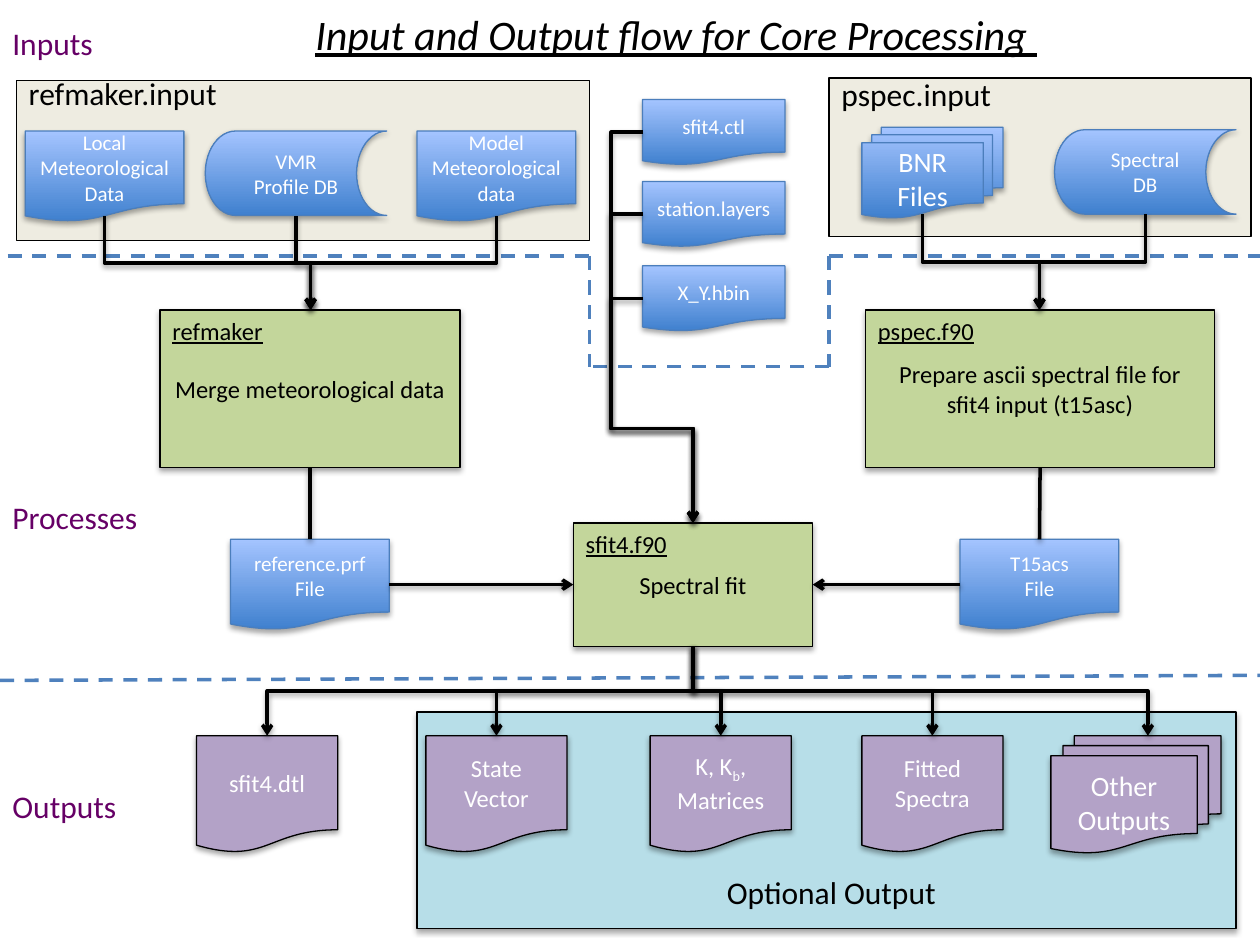
from dataclasses import dataclass
from typing import Optional

from lxml.etree import SubElement
from pptx import Presentation
from pptx.dml.color import RGBColor
from pptx.enum.dml import MSO_LINE
from pptx.enum.shapes import MSO_CONNECTOR, MSO_SHAPE
from pptx.enum.text import MSO_ANCHOR, MSO_AUTO_SIZE, PP_ALIGN
from pptx.oxml.ns import qn
from pptx.util import Inches, Pt

FONT = "Calibri"
BLACK = RGBColor(0x00, 0x00, 0x00)
WHITE = RGBColor(0xFF, 0xFF, 0xFF)
PURPLE = RGBColor(0x66, 0x00, 0x66)
BEIGE = RGBColor(0xEE, 0xEC, 0xE1)
AQUA = RGBColor(0xB7, 0xDE, 0xE8)
GREEN = RGBColor(0xC3, 0xD6, 0x9B)
LILAC = RGBColor(0xB3, 0xA2, 0xC7)
BLUE_DARK = RGBColor(0x3F, 0x80, 0xCE)
BLUE_LIGHT = RGBColor(0xA4, 0xC4, 0xFF)
BLUE_EDGE = RGBColor(0x4B, 0x7E, 0xBC)
DASH_BLUE = RGBColor(0x4F, 0x81, 0xBD)

DOC = MSO_SHAPE.FLOWCHART_DOCUMENT
MULTI = MSO_SHAPE.FLOWCHART_MULTIDOCUMENT
STORE = MSO_SHAPE.FLOWCHART_STORED_DATA
PROCESS = MSO_SHAPE.FLOWCHART_PROCESS
RECT = MSO_SHAPE.RECTANGLE

# The slide is a grid of 100 columns by 75 rows
CELL = Inches(10) / 100


@dataclass
class Node:
    col: float
    row: float
    cols: float
    rows: float
    text: str = ""
    kind: int = DOC
    fill: Optional[RGBColor] = None  # None means the blue gradient
    size: int = 12
    color: RGBColor = WHITE


@dataclass
class Label:
    col: float
    row: float
    cols: float
    text: str
    rows: float = 4
    size: int = 18
    color: RGBColor = BLACK
    underline: bool = False


def grid(*cells: float) -> list:
    return [round(c * CELL) for c in cells]


def set_font(p, size: int, color: RGBColor) -> None:
    p.font.name, p.font.size, p.font.color.rgb = FONT, Pt(size), color


def add_node(s, n: Node):
    sp = s.shapes.add_shape(n.kind, *grid(n.col, n.row, n.cols, n.rows))
    if n.fill is None:
        sp.fill.gradient()
        sp.fill.gradient_angle = 90
        for stop, color in zip(sp.fill.gradient_stops, (BLUE_DARK, BLUE_LIGHT)):
            stop.color.rgb = color
    else:
        sp.fill.solid()
        sp.fill.fore_color.rgb = n.fill
    sp.line.color.rgb = BLUE_EDGE if n.fill is None else BLACK
    sp.line.width = Pt(0.75)
    if n.text:
        tf = sp.text_frame
        tf.text, tf.word_wrap, tf.vertical_anchor = n.text, True, MSO_ANCHOR.MIDDLE
        for p in tf.paragraphs:
            p.alignment = PP_ALIGN.CENTER
            set_font(p, n.size, n.color)
    return sp


def add_panel(s, n: Node) -> None:
    sp = add_node(s, n)
    sp.line.width = 0
    sp.shadow.inherit = False


def add_label(s, b: Label) -> None:
    tf = s.shapes.add_textbox(*grid(b.col, b.row, b.cols, b.rows)).text_frame
    tf.text, tf.word_wrap = b.text, True
    p = tf.paragraphs[0]
    set_font(p, b.size, b.color)
    p.font.underline = b.underline


def add_process(s, n: Node, name: str, name_cols: float):
    sp = add_node(s, n)
    add_label(s, Label(n.col, n.row, name_cols, name, 2.5, 14, underline=True))
    return sp


def style_flow(c, arrow: bool = True) -> None:
    c.line.color.rgb, c.line.width = BLACK, Pt(2)
    if arrow:
        SubElement(c.line._get_or_add_ln(), qn("a:tailEnd"), type="arrow")


def add_dash(s, *ends: float) -> None:
    c = s.shapes.add_connector(MSO_CONNECTOR.STRAIGHT, *grid(*ends))
    c.line.color.rgb, c.line.width = DASH_BLUE, Pt(2)
    c.line.dash_style = MSO_LINE.DASH
    SubElement(c._element.spPr, qn("a:effectLst"))


def add_drop(s, x1: float, y1: float, x2: float, y2: float) -> None:
    """Elbow going down, across at half height, and down: a turned connector."""
    cx, cy = (x1 + x2) / 2, (y1 + y2) / 2
    half_w, half_h = (y2 - y1) / 2, abs(x2 - x1) / 2
    right = x2 > x1
    side = half_w if right else -half_w
    c = s.shapes.add_connector(
        MSO_CONNECTOR.ELBOW, *grid(cx + side, cy - half_h, cx - side, cy + half_h))
    c._element.spPr.find(qn("a:xfrm")).set("rot", str((270 if right else 90) * 60000))
    style_flow(c)


def add_side_drop(s, x1: float, y1: float, x2: float, y2: float, bus_x: float, turn_y: float) -> None:
    """Elbow leaving to the left, down a bus, and across to the top of a box."""
    c = s.shapes.add_connector(MSO_CONNECTOR.ELBOW, *grid(x1, y1, x2, y2))
    geom = c._element.spPr.find(qn("a:prstGeom"))
    geom.set("prst", "bentConnector4")
    shares = ((bus_x - x1) / (x2 - x1), (turn_y - y1) / (y2 - y1))
    for i, share in enumerate(shares, 1):
        SubElement(geom.find(qn("a:avLst")), qn("a:gd"),
                   name=f"adj{i}", fmla=f"val {round(share * 100000)}")
    style_flow(c)


def add_link(s, a, a_site: int, b, b_site: int, arrow: bool) -> None:
    c = s.shapes.add_connector(MSO_CONNECTOR.STRAIGHT, 0, 0, 0, 0)
    c.begin_connect(a, a_site)
    c.end_connect(b, b_site)
    style_flow(c, arrow)


def main() -> None:
    prs = Presentation()
    prs.slide_width, prs.slide_height = Inches(10), Inches(7.5)
    s = prs.slides.add_slide(prs.slide_layouts[5])

    # Title
    title = s.shapes.title
    title.left, title.top, title.width, title.height = grid(21.7, 0.2, 63.9, 5)
    tf = title.text_frame
    tf.text, tf.vertical_anchor = "Input and Output flow for Core Processing ", MSO_ANCHOR.TOP
    tf.auto_size = MSO_AUTO_SIZE.NONE
    p = tf.paragraphs[0]
    p.alignment = PP_ALIGN.CENTER
    set_font(p, 24, BLACK)
    p.font.italic = p.font.underline = True

    # Background panels and section labels
    add_node(s, Node(33.1, 56.5, 65, 17.2, kind=RECT, fill=AQUA))
    add_panel(s, Node(1.3, 6.4, 45.5, 12.7, kind=RECT, fill=BEIGE))
    add_panel(s, Node(65.8, 6.2, 33.5, 12.6, kind=RECT, fill=BEIGE))
    for label in (
        Label(0, 1.4, 8.7, "Inputs", color=PURPLE),
        Label(0, 39, 12.7, "Processes", color=PURPLE),
        Label(0, 62, 10.5, "Outputs", color=PURPLE),
        Label(1.3, 5.4, 19.3, "refmaker.input"),
        Label(65.8, 5.5, 17.8, "pspec.input"),
        Label(56.7, 68.8, 19.3, "Optional Output"),
    ):
        add_label(s, label)

    # Dashed borders between the sections
    for ends in ((0.6, 20.3, 46.8, 20.3), (46.8, 20.3, 46.8, 29.1), (65.8, 29.1, 46.7, 29.1),
                 (65.8, 20.3, 65.8, 29.1), (65.8, 20.3, 100.4, 20.3), (0, 54, 100, 53.6)):
        add_dash(s, *ends)

    # Inputs
    for node in (
        Node(2, 10.4, 12.6, 7.2, "Local Meteorological Data"),
        Node(16.3, 10.4, 14.4, 6.7, "VMR Profile DB", STORE),
        Node(33.1, 10.4, 12.6, 7.2, "Model Meteorological data"),
        Node(68.4, 10.1, 11.2, 7.2, "BNR Files", MULTI, size=16),
        Node(83.7, 10.3, 14.4, 6.7, "Spectral DB", STORE),
    ):
        add_node(s, node)

    # Processes and the files they pass on
    refmaker = add_process(s, Node(12.7, 24.6, 23.8, 12.5, "Merge meteorological data",
                                   PROCESS, GREEN, 14, BLACK), "refmaker", 9.4)
    pspec = add_process(s, Node(68.7, 24.6, 27.7, 12.5, "Prepare ascii spectral file for sfit4 input (t15asc)",
                                PROCESS, GREEN, 14, BLACK), "pspec.f90", 11.4)
    sfit = add_process(s, Node(45.5, 41.5, 19, 9.8, "Spectral fit",
                               PROCESS, GREEN, 14, BLACK), "sfit4.f90", 8.7)
    reference = add_node(s, Node(18.3, 42.8, 12.6, 7.2, "reference.prf\nFile"))
    t15 = add_node(s, Node(76.2, 42.8, 12.6, 7.2, "T15acs\nFile"))
    add_link(s, refmaker, 2, reference, 0, False)
    add_link(s, pspec, 2, t15, 0, False)
    add_link(s, reference, 3, sfit, 1, True)
    add_link(s, t15, 1, sfit, 3, True)

    # Inputs flow down into the processes
    for x in (8.3, 23.5, 39.4):
        add_drop(s, x, 17.15, 24.65, 24.6)
    for x in (73.2, 90.9):
        add_drop(s, x, 17, 82.5, 24.6)

    # Control files share one bus into the fit
    for row, name in ((7.9, "sfit4.ctl"), (14.4, "station.layers"), (21.1, "X_Y.hbin")):
        add_node(s, Node(51, row, 11.3, 5.2, name))
        add_side_drop(s, 51, row + 2.6, 55, 41.5, 48.5, 34)

    # Outputs, each with its arrow from the fit
    for col, name in ((15.6, "sfit4.dtl"), (33.8, "State Vector"), (51.6, "K, K"), (68.4, "Fitted Spectra")):
        sp = add_node(s, Node(col, 58.4, 11.2, 9.3, name, fill=LILAC, size=14))
        if name == "K, K":
            p = sp.text_frame.paragraphs[0]
            r = p.add_run()
            r.text = "b"
            r._r.get_or_add_rPr().set("baseline", "-25000")
            p.add_run().text = ", Matrices"
        add_drop(s, 55, 51.3, col + 5.6, 58.4)
    add_node(s, Node(83.4, 58.4, 13.5, 9.3, "Other Outputs", MULTI, LILAC, 16))
    add_drop(s, 55, 51.3, 91.1, 58.4)

    prs.save("out.pptx")


if __name__ == "__main__":
    main()
